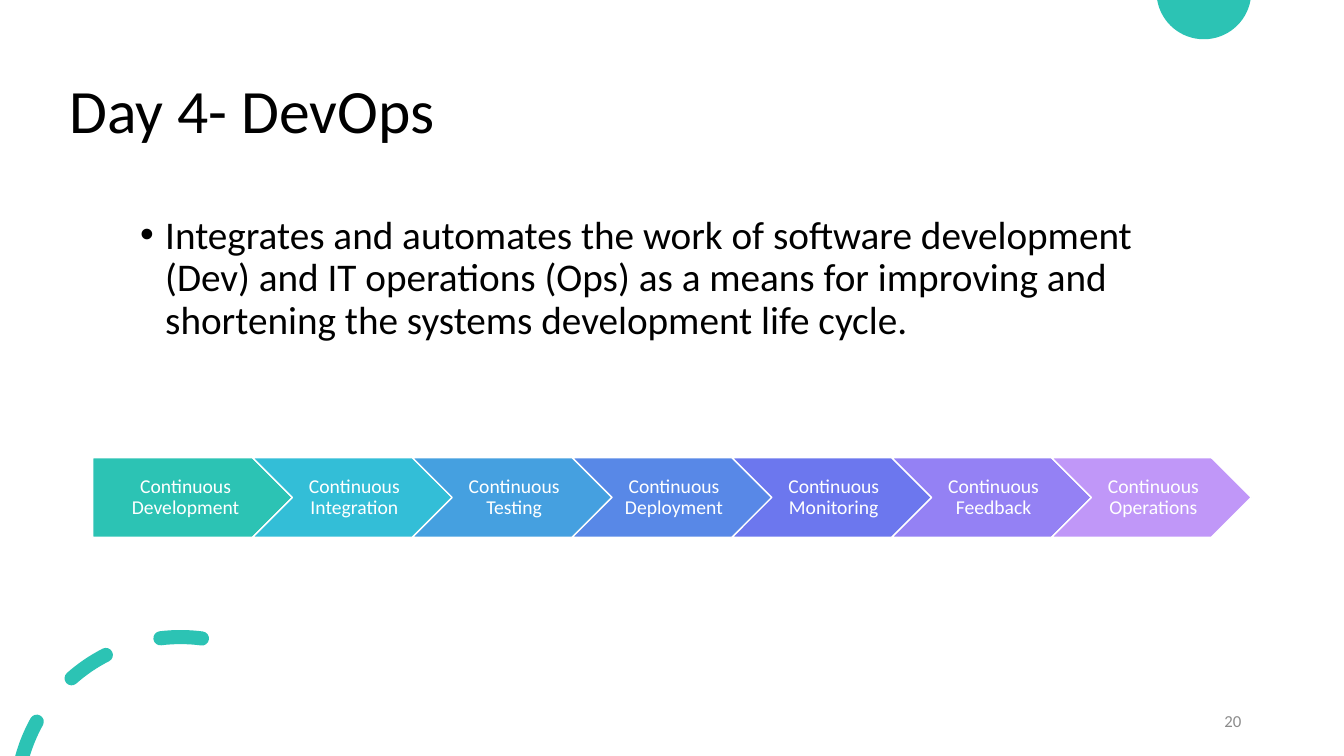
import math
from dataclasses import dataclass

from lxml import etree
from pptx import Presentation
from pptx.dml.color import RGBColor
from pptx.enum import shapes, text
from pptx.oxml import ns
from pptx.util import Inches, Pt


@dataclass(frozen=True)
class Theme:
    font: str = "Calibri"
    bullet_font: str = "Arial"
    ink: str = "000000"
    white: str = "FFFFFF"
    muted: str = "8C8C8C"
    teal: str = "2CC3B4"
    title_size: int = 44
    body_size: int = 28
    stage_size: int = 14
    number_size: int = 12


THEME = Theme()
SLIDE_WIDTH, SLIDE_HEIGHT = 13.33, 7.5

STAGES = [
    ("Development", THEME.teal),
    ("Integration", "33BED7"),
    ("Testing", "45A0E0"),
    ("Deployment", "5888E7"),
    ("Monitoring", "6C77EE"),
    ("Feedback", "9481F4"),
    ("Operations", "C097F8"),
]
STAGE_LEFT, STAGE_TOP = 0.92, 4.54
STAGE_WIDTH, STAGE_HEIGHT = 1.98, 0.79
STAGE_STEP = STAGE_WIDTH - STAGE_HEIGHT / 2

RING_CENTER = (1.79, 7.95)
RING_OUTER, RING_INNER = 1.7, 1.56
RING_MIDDLE = (RING_OUTER + RING_INNER) / 2
CAP_RADIUS = (RING_OUTER - RING_INNER) / 2
DASHES = [(-41.5, -27), (-7, 7.5)]
CUT_DASH_END = -61


def color(code):
    return RGBColor.from_string(code)


def apply(target, values):
    for name, value in values.items():
        setattr(target, name, value)


def write(frame, words, size, ink, frame_format, paragraph_format):
    apply(frame, {"word_wrap": True, **frame_format})
    paragraph = frame.paragraphs[0]
    paragraph.text = words
    apply(paragraph, paragraph_format)
    apply(paragraph.font, {"name": THEME.font, "size": Pt(size)})
    paragraph.font.color.rgb = color(ink)
    return paragraph


def add_text(slide, box, words, size, ink, anchor, **paragraph_format):
    frame = slide.shapes.add_textbox(*map(Inches, box)).text_frame
    return write(frame, words, size, ink, {"vertical_anchor": anchor}, paragraph_format)


def add_bullet(paragraph, indent):
    properties = paragraph._p.get_or_add_pPr()
    properties.set("marL", str(Inches(indent)))
    properties.set("indent", str(-Inches(indent)))
    for tag, values in (("a:buFont", {"typeface": THEME.bullet_font}),
                        ("a:buChar", {"char": "•"})):
        properties.insert_element_before(
            etree.Element(ns.qn(tag), values), "a:tabLst", "a:defRPr", "a:extLst")


def polar(center, radius, degrees):
    """Point on a circle; degrees run clockwise from the top."""
    angle = math.radians(degrees)
    return center[0] + radius * math.sin(angle), center[1] - radius * math.cos(angle)


def curve(center, radius, start, end):
    """Start, two control points and end of one Bézier arc."""
    reach = 4 / 3 * math.tan(math.radians(end - start) / 4)
    (x1, y1), (x2, y2) = (polar(center, radius, a) for a in (start, end))
    return [(x1, y1),
            (x1 - reach * (y1 - center[1]), y1 + reach * (x1 - center[0])),
            (x2 + reach * (y2 - center[1]), y2 - reach * (x2 - center[0])),
            (x2, y2)]


def cap(degrees, turn):
    """Two quarter arcs that round one end of a dash."""
    center = polar(RING_CENTER, RING_MIDDLE, degrees)
    return [curve(center, CAP_RADIUS, a, a + 90) for a in (turn, turn + 90)]


def dash(start, end):
    return [curve(RING_CENTER, RING_OUTER, start, end), *cap(end, end),
            curve(RING_CENTER, RING_INNER, end, start), *cap(start, start + 180)]


def cut_dash(end):
    """Dash that runs off the bottom edge of the slide."""
    drop = RING_CENTER[1] - SLIDE_HEIGHT
    outer, inner = (-math.degrees(math.acos(drop / r)) for r in (RING_OUTER, RING_INNER))
    return [curve(RING_CENTER, RING_OUTER, outer, end), *cap(end, end),
            curve(RING_CENTER, RING_INNER, end, inner)]


def add_outline(slide, contours):
    """One teal freeform; each contour is a chain of Bézier arcs."""
    builder = None
    for arcs in contours:
        start = [Inches(v) for v in arcs[0][0]]
        if builder is None:
            builder = slide.shapes.build_freeform(*start)
        else:
            builder.move_to(*start)
        builder.add_line_segments(
            [(Inches(x), Inches(y)) for arc in arcs for x, y in arc[1:]], close=True)
    outline = builder.convert_to_shape()
    outline.shadow.inherit = False
    outline.fill.solid()
    outline.fill.fore_color.rgb = color(THEME.teal)
    outline.line.fill.background()

    segments = list(outline._element.iter(ns.qn("a:lnTo")))
    for first, second, third in zip(*[iter(segments)] * 3):
        first.tag = ns.qn("a:cubicBezTo")
        for segment in (second, third):
            first.append(segment[0])
            segment.getparent().remove(segment)


def add_stage(slide, index, name, fill):
    first = index == 0
    kind = shapes.MSO_SHAPE.PENTAGON if first else shapes.MSO_SHAPE.CHEVRON
    box = (STAGE_LEFT + index * STAGE_STEP, STAGE_TOP, STAGE_WIDTH, STAGE_HEIGHT)
    stage = slide.shapes.add_shape(kind, *map(Inches, box))
    stage.shadow.inherit = False
    stage.fill.solid()
    stage.fill.fore_color.rgb = color(fill)
    stage.line.color.rgb = color(THEME.white)
    stage.line.width = Pt(1)
    write(stage.text_frame, f"Continuous {name}", THEME.stage_size, THEME.white,
          {"vertical_anchor": text.MSO_ANCHOR.MIDDLE,
           "margin_left": Inches(0.08 if first else 0.06),
           "margin_right": Inches(0.02),
           "margin_top": Inches(0.04),
           "margin_bottom": Inches(0.04)},
          {"alignment": text.PP_ALIGN.CENTER, "line_spacing": 0.9})


def main():
    deck = Presentation()
    apply(deck, {"slide_width": Inches(SLIDE_WIDTH), "slide_height": Inches(SLIDE_HEIGHT)})
    slide = deck.slides.add_slide(deck.slide_layouts[6])

    add_outline(slide, [[curve((11.94, -0.08), 0.47, a, a + 80) for a in (100, 180)]])
    add_outline(slide, [cut_dash(CUT_DASH_END), *(dash(*ends) for ends in DASHES)])

    add_text(slide, (0.59, 0.4, 11.5, 1.45), "Day 4- DevOps",
             THEME.title_size, THEME.ink, text.MSO_ANCHOR.MIDDLE, line_spacing=0.9)
    summary = add_text(
        slide, (1.29, 2.09, 10.75, 4.22),
        "Integrates and automates the work of software development (Dev) and IT "
        "operations (Ops) as a means for improving and shortening the systems "
        "development life cycle.",
        THEME.body_size, THEME.ink, text.MSO_ANCHOR.TOP, line_spacing=0.9)
    add_bullet(summary, 0.25)
    add_text(slide, (9.41, 6.95, 3, 0.4), "20", THEME.number_size, THEME.muted,
             text.MSO_ANCHOR.MIDDLE, alignment=text.PP_ALIGN.RIGHT)

    for index, (name, fill) in enumerate(STAGES):
        add_stage(slide, index, name, fill)

    deck.save("out.pptx")


if __name__ == "__main__":
    main()
